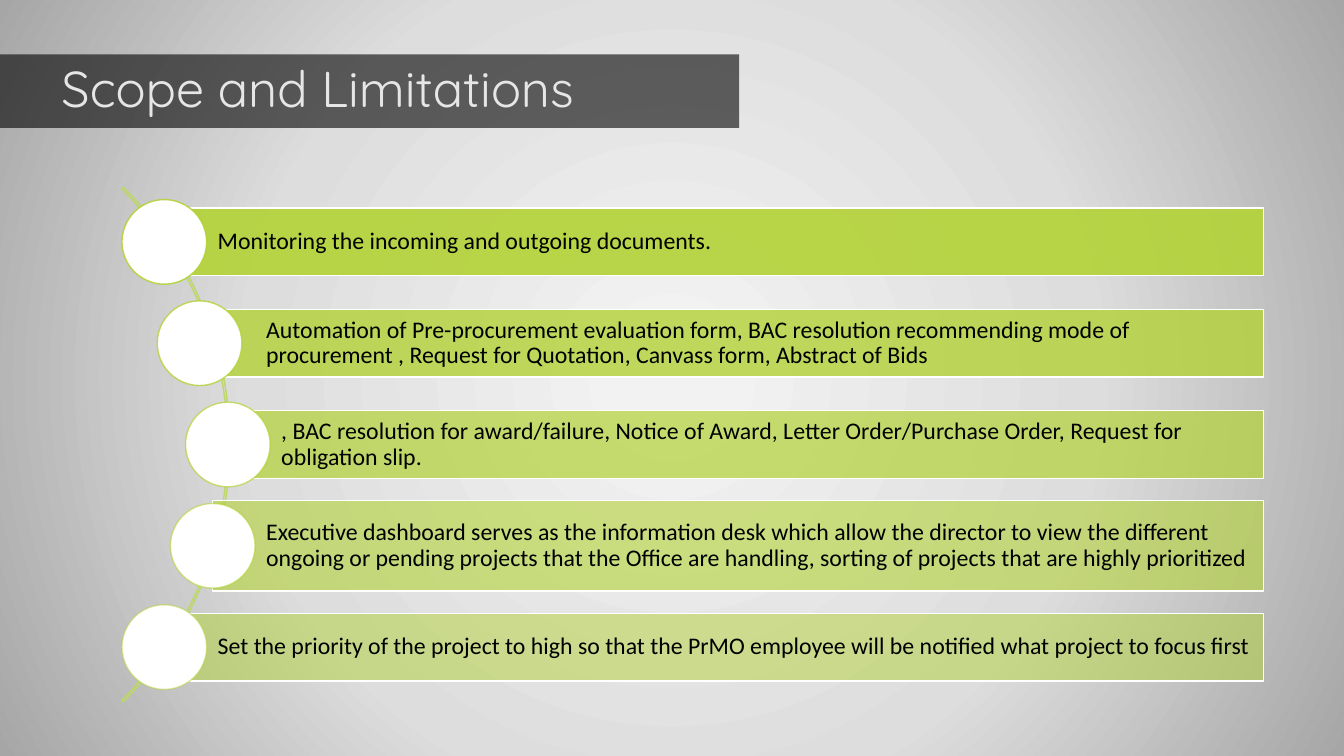
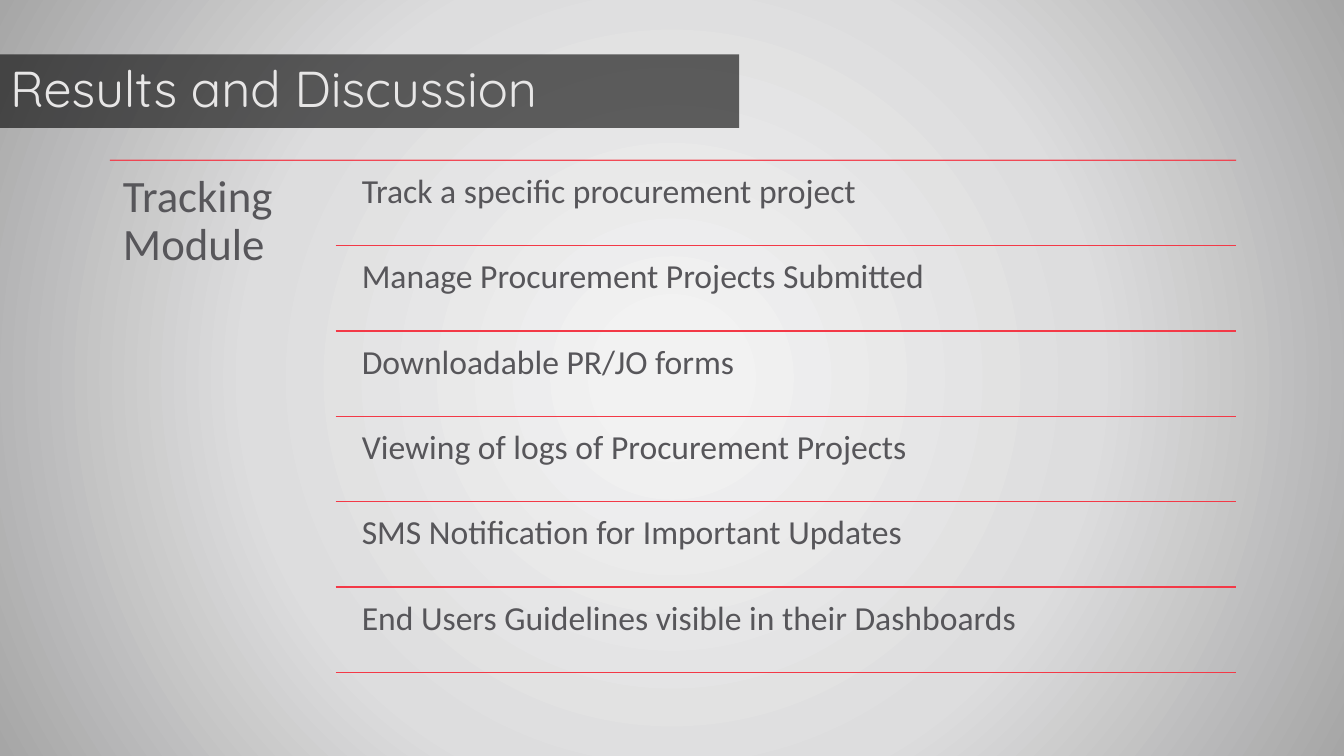
from dataclasses import dataclass

from lxml.etree import SubElement
from pptx import Presentation
from pptx.dml.color import RGBColor
from pptx.enum.shapes import MSO_CONNECTOR, MSO_SHAPE
from pptx.enum.text import MSO_ANCHOR, MSO_AUTO_SIZE, PP_ALIGN
from pptx.oxml import parse_xml
from pptx.oxml.ns import nsdecls, qn
from pptx.util import Inches, Pt


@dataclass(frozen=True)
class Theme:
    title_font: str = "Quicksand"
    body_font: str = "Calibri"
    title_size: int = 36
    heading_size: int = 32
    list_size: int = 24
    bar_size: int = 17
    band: str = "000000"
    title: str = "E7E6E6"
    green: str = "B3D236"
    arc: str = "BCD767"
    red: str = "F33947"
    white: str = "FFFFFF"
    black: str = "000000"
    grey: str = "57565A"
    backdrop: tuple = ((6, "F2F2F2"), (55, "DDDDDE"), (100, "A6A6A6"))


THEME = Theme()
TITLE_ONLY = 5
TITLE_INDENT = 0.61
TITLE_FLUSH = 0.1

# Scope slide: bars share a right edge, their centres a pitch
BAR_RIGHT = 12.53
FIRST_CENTRE, BAR_PITCH = 2.4, 1.005
CIRCLE_SIZE = 0.84
BAR_HEIGHT, TALL_BAR_HEIGHT = 0.67, 0.9
# text, bar left, circle centre, bar height
SCOPE = [
    ("Monitoring the incoming and outgoing documents.", 1.63, 1.63, BAR_HEIGHT),
    ("Automation of Pre-procurement evaluation form, BAC resolution recommending "
     "mode of procurement , Request for Quotation, Canvass form, Abstract of Bids",
     2.11, 1.98, BAR_HEIGHT),
    (", BAC resolution for award/failure, Notice of Award, Letter Order/Purchase "
     "Order, Request for obligation slip.", 2.26, 2.26, BAR_HEIGHT),
    ("Executive dashboard serves as the information desk which allow the director "
     "to view the different ongoing or pending projects that the Office are "
     "handling, sorting of projects that are highly prioritized",
     2.11, 2.11, TALL_BAR_HEIGHT),
    ("Set the priority of the project to high so that the PrMO employee will be "
     "notified what project to focus first", 1.63, 1.63, BAR_HEIGHT),
]

# Results slide: a heading column beside ruled rows
HEADING_LEFT, RULE_LEFT, ROW_LEFT, ROW_RIGHT = 1.09, 3.33, 3.49, 12.26
RULES_TOP, RULES_BOTTOM = 1.59, 6.67
RESULTS = [
    "Track a specific procurement project",
    "Manage Procurement Projects Submitted",
    "Downloadable PR/JO forms",
    "Viewing of logs of Procurement Projects",
    "SMS Notification for Important Updates",
    "End Users Guidelines visible in their Dashboards",
]


def rgb(code):
    return RGBColor.from_string(code)


def fade(properties, fill_route, opacity):
    """Give the solid fill found under the shape properties an opacity in percent."""
    color = properties.find(fill_route)[0]
    SubElement(color, qn("a:alpha")).set("val", str(opacity * 1000))


def paint_fill(shape, color, opacity=100):
    shape.fill.solid()
    shape.fill.fore_color.rgb = rgb(color)
    if opacity < 100:
        fade(shape.element.spPr, qn("a:solidFill"), opacity)


def paint_line(shape, color, opacity=100):
    shape.line.width = Pt(1)
    shape.line.color.rgb = rgb(color)
    if opacity < 100:
        fade(shape.element.spPr, f"{qn('a:ln')}/{qn('a:solidFill')}", opacity)


def write(shape, text, font, size, color, margins, anchor=MSO_ANCHOR.TOP):
    """Fill a shape with one paragraph; margins are left, top, right, bottom."""
    frame = shape.text_frame
    frame.word_wrap = True
    frame.auto_size = MSO_AUTO_SIZE.NONE
    frame.vertical_anchor = anchor
    (frame.margin_left, frame.margin_top,
     frame.margin_right, frame.margin_bottom) = map(Inches, margins)
    frame.text = text
    paragraph = frame.paragraphs[0]
    paragraph.alignment = PP_ALIGN.LEFT
    paragraph.line_spacing = 0.9
    paragraph.font.name = font
    paragraph.font.size = Pt(size)
    paragraph.font.color.rgb = rgb(color)


def add_preset(slide, preset, left, top, width, height):
    shape = slide.shapes.add_shape(preset, *map(Inches, (left, top, width, height)))
    shape.shadow.inherit = False
    return shape


def add_rule(slide, left, right, top, opacity=100):
    rule = slide.shapes.add_connector(
        MSO_CONNECTOR.STRAIGHT, *map(Inches, (left, top, right, top)))
    paint_line(rule, THEME.red, opacity)
    SubElement(rule.element.spPr, qn("a:effectLst"))


def add_text(slide, text, size, left, top, width, height, margin):
    box = slide.shapes.add_textbox(*map(Inches, (left, top, width, height)))
    write(box, text, THEME.body_font, size, THEME.grey, [margin] * 4)


def set_backdrop(master):
    """Put a gradient spreading from the centre behind every slide."""
    master.background.fill.solid()
    solid = master.element.find(f".//{qn('p:bgPr')}/{qn('a:solidFill')}")
    stops = "".join(
        f'<a:gs pos="{place * 1000}"><a:srgbClr val="{color}"/></a:gs>'
        for place, color in THEME.backdrop)
    gradient = parse_xml(
        f'<a:gradFill {nsdecls("a")} rotWithShape="1"><a:gsLst>{stops}</a:gsLst>'
        '<a:path path="circle"><a:fillToRect l="50000" t="50000" r="50000" '
        'b="50000"/></a:path></a:gradFill>')
    solid.getparent().replace(solid, gradient)


def add_titled_slide(deck, text, indent):
    slide = deck.slides.add_slide(deck.slide_layouts[TITLE_ONLY])
    title = slide.shapes.title
    title.left, title.top, title.width, title.height = map(
        Inches, (0, 0.54, 7.33, 0.73))
    paint_fill(title, THEME.band, 60)
    write(title, text, THEME.title_font, THEME.title_size, THEME.title,
          (indent, 0.05, 0.1, 0.05), MSO_ANCHOR.MIDDLE)
    return slide


def add_arc(slide):
    arc = add_preset(slide, MSO_SHAPE.BLOCK_ARC, -4.94, 0.8, 7.22, 7.22)
    for index, value in enumerate((189, 27, 0.003)):
        arc.adjustments[index] = value
    arc.fill.background()
    paint_line(arc, THEME.arc)


def add_bar(slide, text, left, circle_centre, height, centre, opacity):
    """Draw a text bar and the circle over its left end."""
    bar = add_preset(slide, MSO_SHAPE.RECTANGLE, left, centre - height / 2,
                     BAR_RIGHT - left, height)
    paint_fill(bar, THEME.green, opacity)
    paint_line(bar, THEME.white)
    write(bar, text, THEME.body_font, THEME.bar_size, THEME.black,
          (0.53, 0.05, 0.05, 0.05), MSO_ANCHOR.MIDDLE)
    radius = CIRCLE_SIZE / 2
    circle = add_preset(slide, MSO_SHAPE.OVAL, circle_centre - radius,
                        centre - radius, CIRCLE_SIZE, CIRCLE_SIZE)
    paint_fill(circle, THEME.white)
    paint_line(circle, THEME.green, opacity)


def add_scope_slide(deck):
    slide = add_titled_slide(deck, "Scope and Limitations", TITLE_INDENT)
    add_arc(slide)
    for index, bar in enumerate(SCOPE):
        add_bar(slide, *bar, centre=FIRST_CENTRE + index * BAR_PITCH,
                opacity=90 - 10 * index)


def add_results_slide(deck):
    slide = add_titled_slide(deck, "Results and Discussion", TITLE_FLUSH)
    add_rule(slide, HEADING_LEFT, ROW_RIGHT, RULES_TOP, 90)
    add_text(slide, "Tracking Module", THEME.heading_size, HEADING_LEFT, RULES_TOP,
             2.23, RULES_BOTTOM - RULES_TOP, 0.13)
    pitch = (RULES_BOTTOM - RULES_TOP) / len(RESULTS)
    for index, text in enumerate(RESULTS):
        top = RULES_TOP + index * pitch
        add_text(slide, text, THEME.list_size, ROW_LEFT, top + 0.04,
                 ROW_RIGHT - ROW_LEFT, pitch - 0.04, 0.1)
        add_rule(slide, RULE_LEFT, ROW_RIGHT, top + pitch)


def main():
    deck = Presentation()
    deck.slide_width, deck.slide_height = Inches(13.33), Inches(7.5)
    set_backdrop(deck.slide_master)
    add_scope_slide(deck)
    add_results_slide(deck)
    deck.save("out.pptx")


if __name__ == "__main__":
    main()
